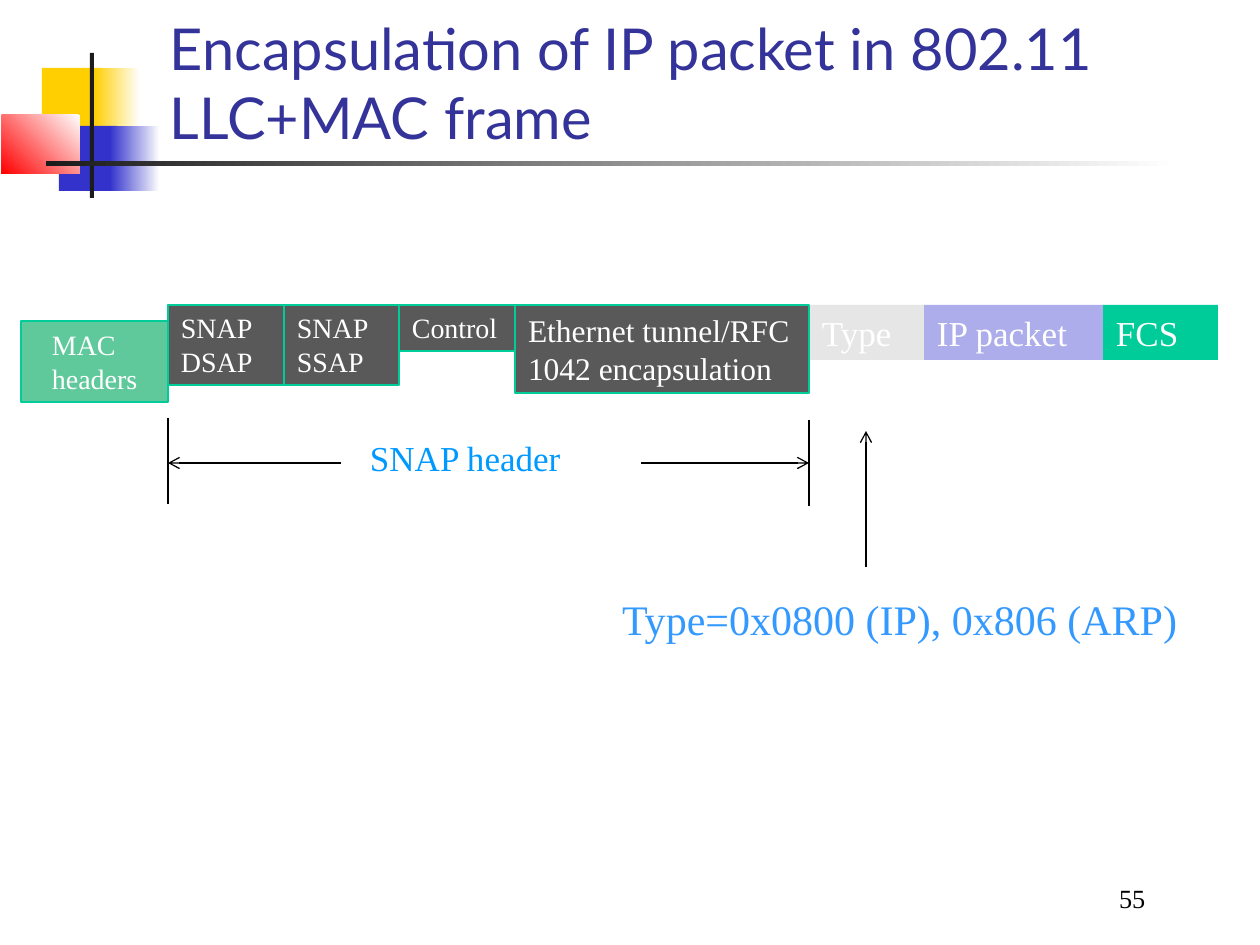
from lxml.etree import SubElement
from pptx import Presentation
from pptx.dml.color import RGBColor
from pptx.enum.shapes import MSO_CONNECTOR, MSO_SHAPE
from pptx.enum.text import MSO_ANCHOR
from pptx.oxml.ns import qn
from pptx.util import Pt

SCALE = 914400 / 126  # EMU per px
WHITE = RGBColor(0xFF, 0xFF, 0xFF)
BLACK = RGBColor(0x00, 0x00, 0x00)
YELLOW = RGBColor(0xFF, 0xCF, 0x01)
BLUE = RGBColor(0x33, 0x33, 0xCC)
RED = RGBColor(0xFF, 0x00, 0x00)
CHARCOAL = RGBColor(0x1C, 0x1C, 0x1C)
NAVY = RGBColor(0x33, 0x33, 0x99)
GREEN = RGBColor(0x00, 0xCC, 0x99)
MINT = RGBColor(0x60, 0xC9, 0x9C)
LILAC = RGBColor(0xAD, 0xAD, 0xEB)
PALE = RGBColor(0xE6, 0xE6, 0xE6)
GREY = RGBColor(0x59, 0x59, 0x59)
SKY = RGBColor(0x00, 0x99, 0xFF)
LIGHT_BLUE = RGBColor(0x33, 0x99, 0xFF)


def px(*lengths):
    return [round(length * SCALE) for length in lengths]


def write(shape, lines, size, color, font="Times New Roman", **frame_values):
    frame = shape.text_frame
    left, top = px(13, 6)
    settings = {"word_wrap": True, "vertical_anchor": MSO_ANCHOR.TOP,
                "margin_left": left, "margin_right": left,
                "margin_top": top, "margin_bottom": top} | frame_values
    for name, value in settings.items():
        setattr(frame, name, value)
    for index, line in enumerate(lines):
        para = frame.add_paragraph() if index else frame.paragraphs[0]
        para.alignment = 1  # left
        span = para.add_run()
        span.text = line
        for name, value in {"name": font, "size": Pt(size)}.items():
            setattr(span.font, name, value)
        span.font.color.rgb = color


deck = Presentation()
deck.slide_width, deck.slide_height = px(1260, 945)
page = deck.slides.add_slide(deck.slide_layouts[6])
shapes = page.shapes

# Corner ornament: place, colour, angle of the fade from white (None = solid)
ornament = [
    ((42, 68, 60, 66), YELLOW, None),
    ((94, 68, 46, 66), YELLOW, 180),
    ((59, 126, 58, 65), BLUE, None),
    ((110, 126, 50, 65), BLUE, 180),
    ((2, 115, 78, 59), RED, 225),
    ((90, 53, 4, 145), CHARCOAL, None),
    ((46, 161, 1132, 5), CHARCOAL, 180),
]
for place, color, angle in ornament:
    block = shapes.add_shape(MSO_SHAPE.RECTANGLE, *px(*place))
    block.shadow.inherit = False
    block.line.fill.background()
    if angle is None:
        block.fill.solid()
        block.fill.fore_color.rgb = color
    else:
        block.fill.gradient()
        block.fill.gradient_angle = angle
        for stop, stop_color in zip(block.fill.gradient_stops, (WHITE, color)):
            stop.color.rgb = stop_color

# Title, slide number and labels
texts = [
    ((157, 21, 1074, 136), "Encapsulation of IP packet in 802.11 LLC+MAC frame", 33, NAVY,
     {"font": "Lato", "vertical_anchor": MSO_ANCHOR.BOTTOM}),
    ((1106, 876, 135, 44), "55", 15, BLACK, {"word_wrap": False}),
    ((357, 431, 252, 64), "SNAP header", 20, SKY, {}),
    ((609, 588, 609, 63), "Type=0x0800 (IP), 0x806 (ARP)", 24, LIGHT_BLUE, {}),
]
for place, text, size, color, options in texts:
    box = shapes.add_textbox(*px(*place))
    write(box, [text], size, color, **options)

# Frame fields, right to left
fields = [
    ((1103, 305, 115, 55), ["FCS"], 20, GREEN, False, {}),
    ((924, 305, 179, 55), ["IP packet"], 20, LILAC, False, {}),
    ((809, 305, 115, 55), ["Type"], 20, PALE, False, {}),
    ((515, 305, 294, 88), ["Ethernet tunnel/RFC 1042 encapsulation"], 18, GREY, True, {}),
    ((399, 305, 116, 46), ["Control"], 16, GREY, True, {}),
    ((284, 305, 115, 80), ["SNAP", "SSAP"], 16, GREY, True, {}),
    ((168, 305, 116, 80), ["SNAP", "DSAP"], 16, GREY, True, {}),
    ((21, 321, 147, 81), ["MAC", "headers"], 16, MINT, True,
     {"margin_left": px(31)[0], "vertical_anchor": MSO_ANCHOR.MIDDLE}),
]
for place, lines, size, color, outlined, options in fields:
    field = shapes.add_shape(MSO_SHAPE.RECTANGLE, *px(*place))
    field.shadow.inherit = False
    field.fill.solid()
    field.fill.fore_color.rgb = color
    if outlined:
        field.line.color.rgb = GREEN
        field.line.width = Pt(0.75)
    else:
        field.line.fill.background()
    write(field, lines, size, WHITE, **options)

# SNAP header extent and the pointer to the type field
lines = [
    ((168, 418, 168, 504), False),
    ((809, 420, 809, 506), False),
    ((341, 463, 168, 463), True),
    ((641, 463, 809, 463), True),
    ((866, 567, 866, 431), True),
]
for ends, has_arrow in lines:
    line = shapes.add_connector(MSO_CONNECTOR.STRAIGHT, *px(*ends))
    line.line.color.rgb = BLACK
    line.line.width = Pt(0.75)
    if has_arrow:
        SubElement(line.line._get_or_add_ln(), qn("a:tailEnd"), type="arrow")
    SubElement(line._element.spPr, qn("a:effectLst"))

deck.save("out.pptx")
